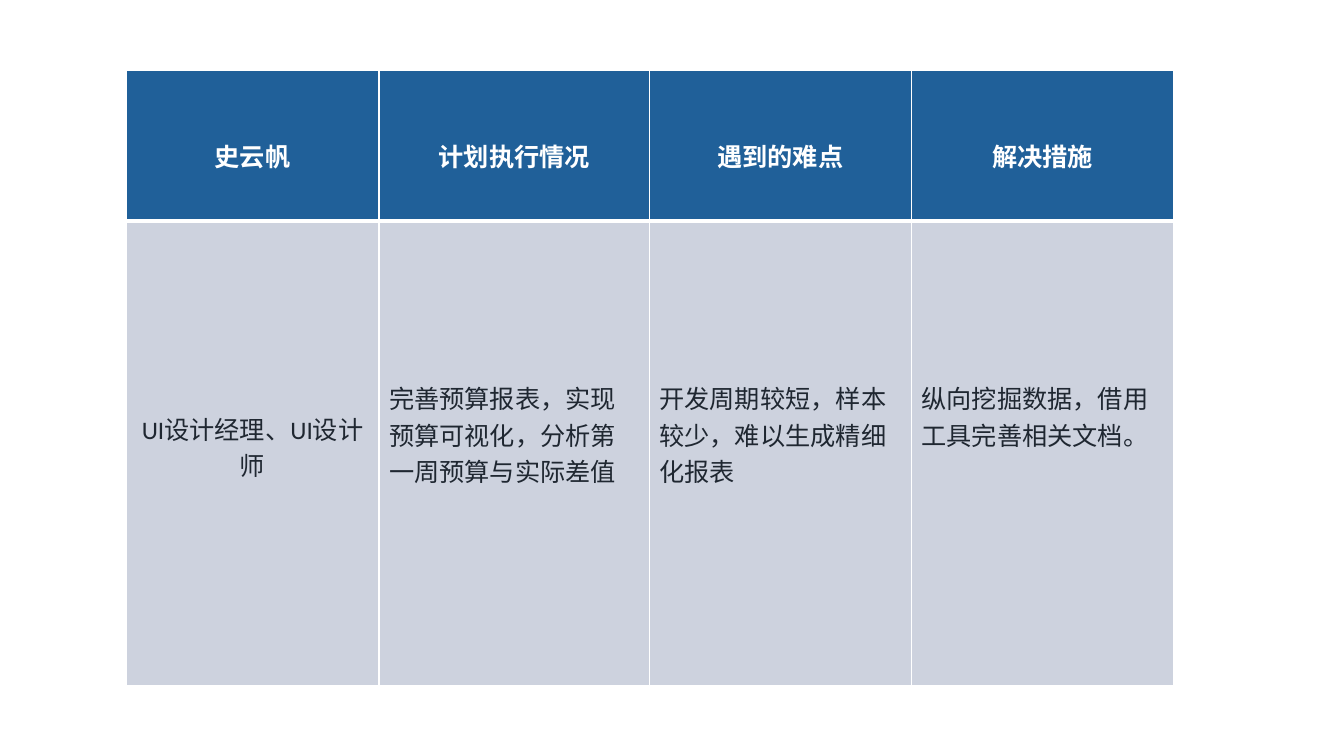
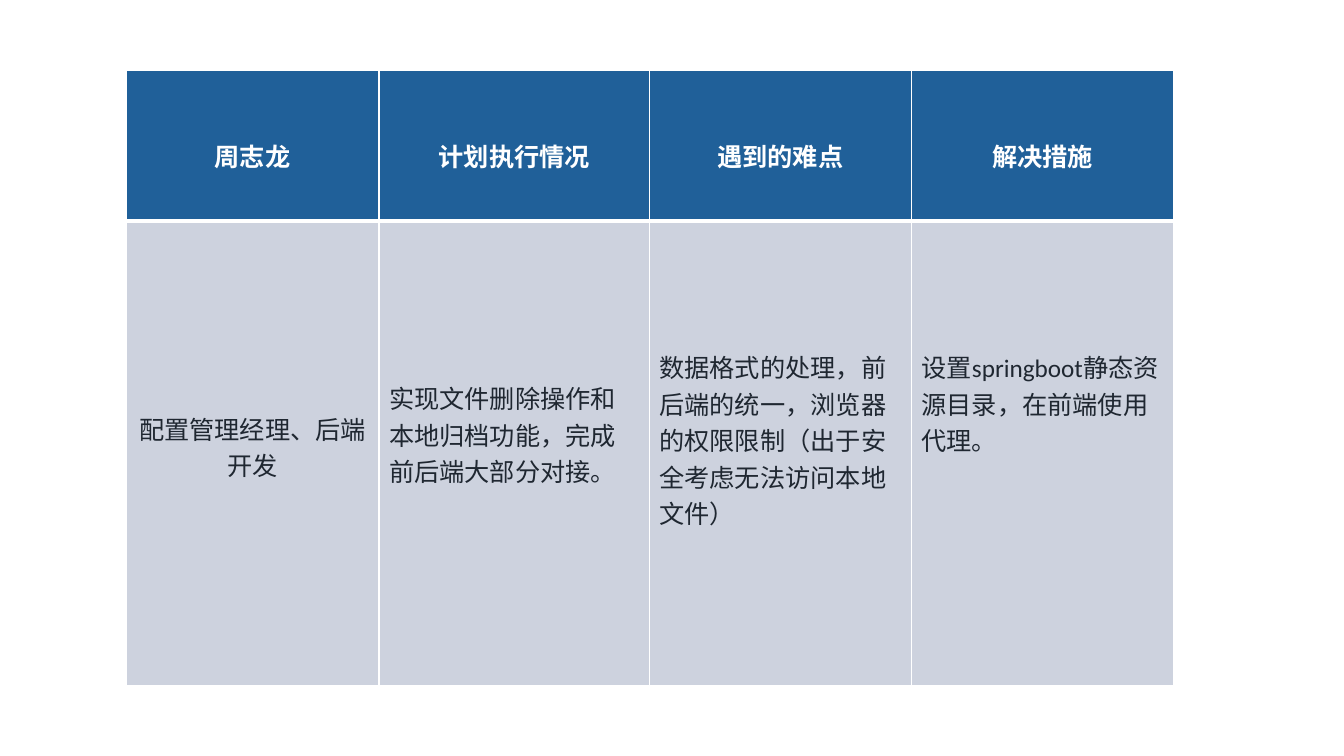
from lxml import etree
from pptx import Presentation
from pptx.dml.color import RGBColor
from pptx.enum.text import MSO_ANCHOR, PP_ALIGN
from pptx.oxml.ns import qn
from pptx.util import Inches, Pt

CENTER, LEFT = PP_ALIGN.CENTER, PP_ALIGN.LEFT
TOP = MSO_ANCHOR.TOP

WHITE, BLUE, GREY, INK = "FFFFFF", "206099", "CDD2DE", "1F2731"
FONT, SIZE = "Calibri", 18
COLUMN_WIDTHS = (2.51, 2.68, 2.6, 2.6)
ROW_HEIGHTS = (1.49, 4.61)
CELL_PADDING, LINE_HEIGHT = 0.05, 0.305
HEADER_OFFSET = 2
HEADINGS = ("计划执行情况", "遇到的难点", "解决措施")

REPORTS = (
    ("史云帆", (
        ("UI设计经理、UI设计师", 6),
        ("完善预算报表，实现预算可视化，分析第一周预算与实际差值", 5),
        ("开发周期较短，样本较少，难以生成精细化报表", 5),
        ("纵向挖掘数据，借用工具完善相关文档。", 5),
    )),
    ("周志龙", (
        ("配置管理经理、后端开发", 6),
        ("实现文件删除操作和本地归档功能，完成前后端大部分对接。", 5),
        ("数据格式的处理，前后端的统一，浏览器的权限限制（出于安全考虑无法访问本地文件）", 4),
        ("设置springboot静态资源目录，在前端使用代理。", 4),
    )),
)


def color(value):
    return RGBColor.from_string(value)


def apply(target, values):
    for name, value in values.items():
        setattr(target, name, value)


class ReportDeck:
    def __init__(self):
        self.presentation = Presentation()
        apply(self.presentation, {
            "slide_width": Inches(13.33), "slide_height": Inches(7.5),
        })
        self.slide = None

    def add_slide(self):
        blank = self.presentation.slide_layouts[6]
        self.slide = self.presentation.slides.add_slide(blank)

    def add_borders(self, cell, widths):
        properties = cell._tc.get_or_add_tcPr()
        for position, (side, width) in enumerate(widths.items()):
            line = etree.Element(qn(f"a:ln{side}"), w=str(Pt(width)))
            fill = etree.SubElement(line, qn("a:solidFill"))
            etree.SubElement(fill, qn("a:srgbClr"), val=WHITE)
            properties.insert(position, line)

    def fill_cell(self, cell, text, offset, is_header, alignment):
        apply(cell, {
            "text": text,
            "vertical_anchor": TOP,
            "margin_top": Inches(CELL_PADDING + offset * LINE_HEIGHT),
        })
        cell.fill.solid()
        cell.fill.fore_color.rgb = color(BLUE if is_header else GREY)
        paragraph = cell.text_frame.paragraphs[0]
        paragraph.alignment = alignment
        font = paragraph.runs[0].font
        apply(font, {"name": FONT, "size": Pt(SIZE), "bold": is_header})
        font.color.rgb = color(WHITE if is_header else INK)
        self.add_borders(cell, {
            "L": 1, "R": 1,
            "T": 1 if is_header else 3,
            "B": 3 if is_header else 1,
        })

    def add_report_table(self, member, entries):
        header = [(text, HEADER_OFFSET) for text in (member, *HEADINGS)]
        table = self.slide.shapes.add_table(
            len(ROW_HEIGHTS), len(COLUMN_WIDTHS), Inches(1.25), Inches(0.7),
            Inches(sum(COLUMN_WIDTHS)), Inches(sum(ROW_HEIGHTS))).table
        table.horz_banding = False
        for column, width in zip(table.columns, COLUMN_WIDTHS):
            column.width = Inches(width)
        for row, height in zip(table.rows, ROW_HEIGHTS):
            row.height = Inches(height)
        for row_index, row in enumerate((header, entries)):
            is_header = row_index == 0
            for column_index, (text, offset) in enumerate(row):
                alignment = CENTER if is_header or column_index == 0 else LEFT
                self.fill_cell(table.cell(row_index, column_index),
                               text, offset, is_header, alignment)


def main():
    deck = ReportDeck()
    for member, entries in REPORTS:
        deck.add_slide()
        deck.add_report_table(member, entries)
    deck.presentation.save("out.pptx")


if __name__ == "__main__":
    main()
